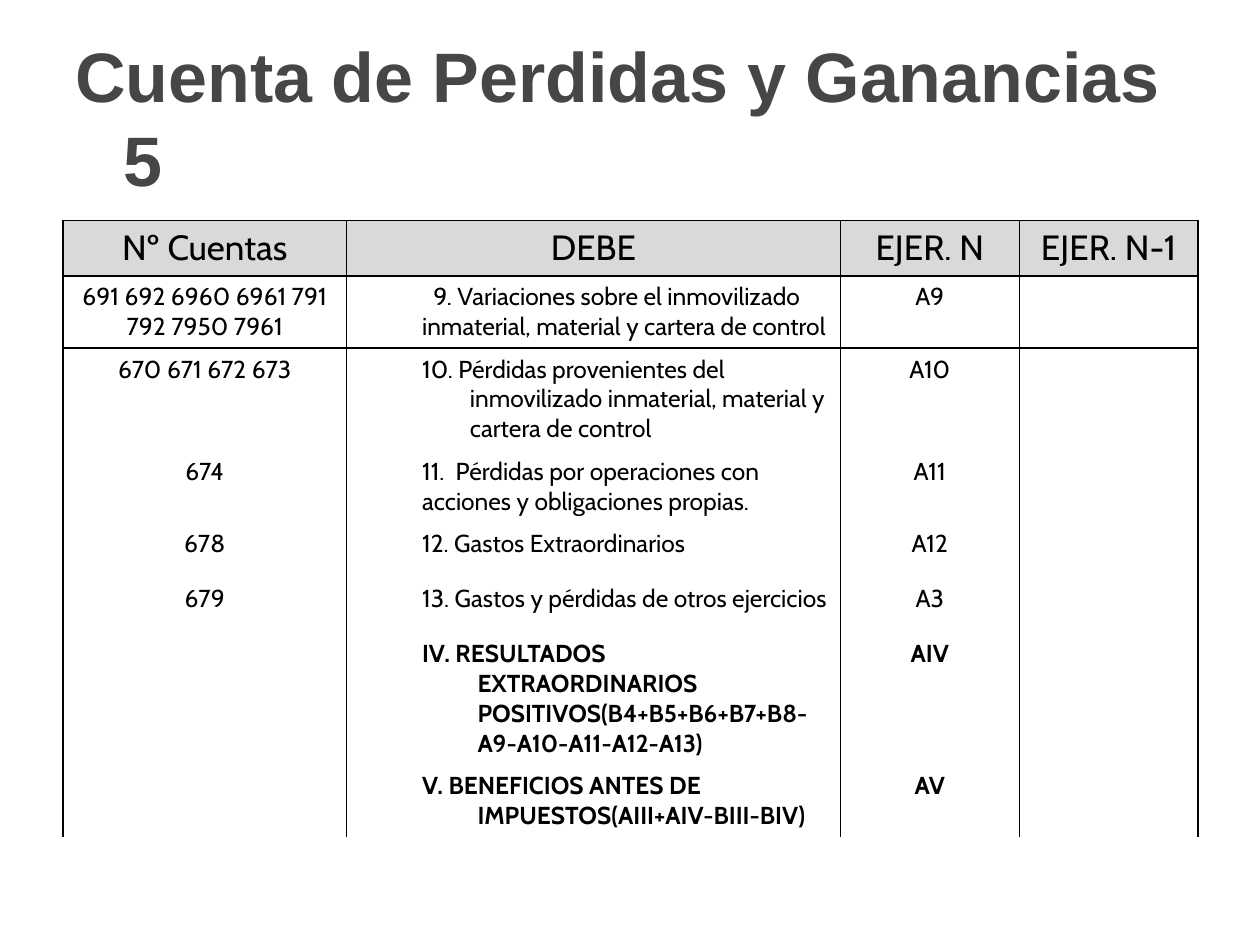
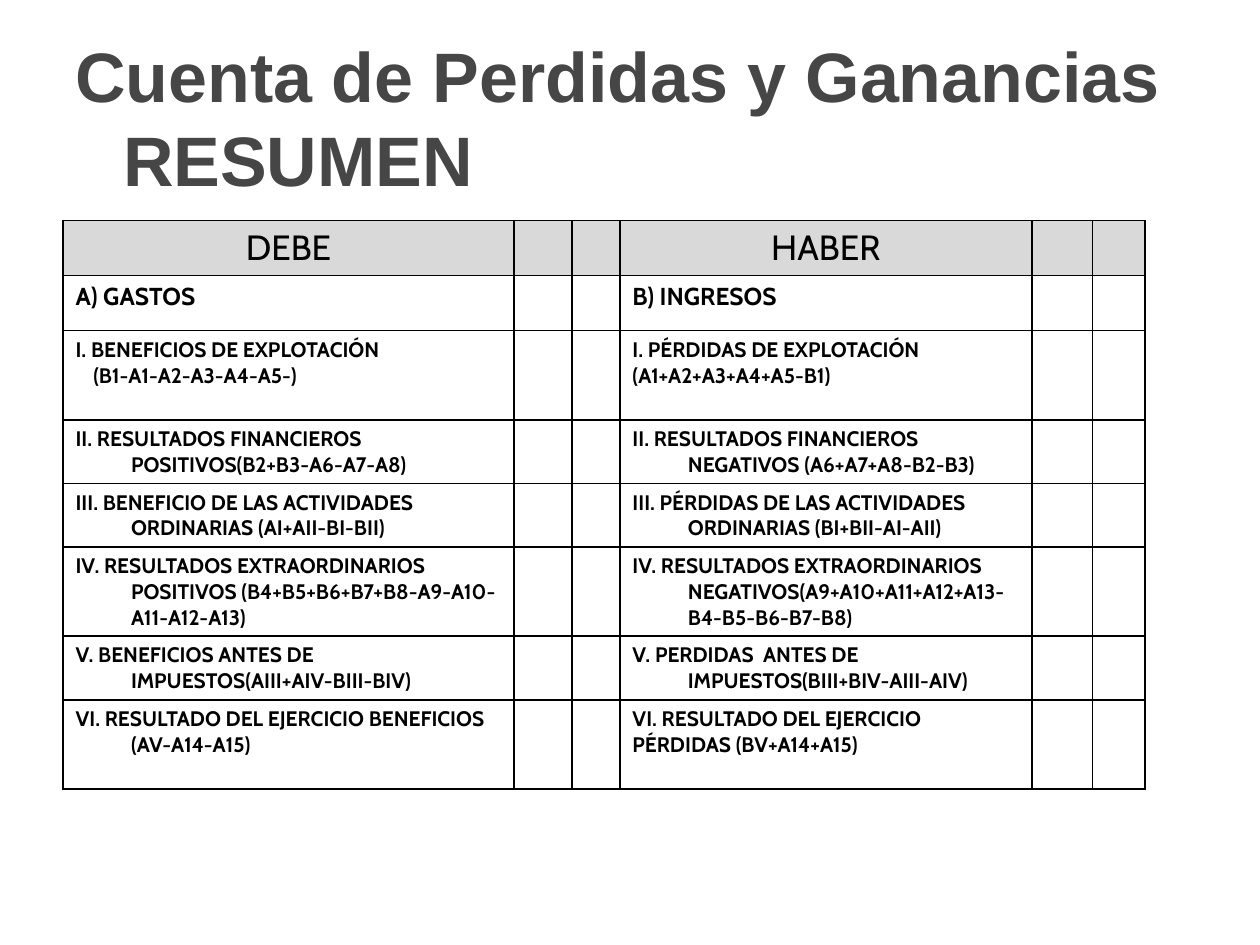
from pptx import Presentation
from pptx.dml.color import RGBColor
from pptx.enum.text import MSO_ANCHOR, PP_ALIGN
from pptx.oxml import parse_xml
from pptx.oxml.ns import nsdecls
from pptx.util import Emu, Inches, Pt

HEX = {"ink": "000000", "title": "464646", "head": "D9D9D9"}
HEAD = {"name": "Cabin", "size": Pt(20), "bold": False}
TITLE = {"name": "Arial", "size": Pt(40), "bold": True}
FLAT, STEP, NINE = (0, 0), (0.5, 0), (0.5, 0.09)
TEN, DEEP = (0.88, -0.38), (0.94, -0.44)
HANG, TAB = (0.44, -0.44), (0.14, 0)
LEAD = 1.215
PAD = 0.1
PLAIN = "{2D5ABB26-0587-4C30-8999-92F81FD0307C}"

DECK = [
    {
        "title": "Cuenta de Perdidas y Ganancias 5",
        "cols": [2.25, 3.92, 1.42, 1.42],
        "mid": (0, 2, 3),
        "sides": "LR",
        "head": ["Nº Cuentas", "DEBE", "EJER. N", "EJER. N-1"],
        "rows": [
            (14, False, 2 * 14, ["691 692 6960 6961 791 792 7950 7961",
                [("9. Variaciones sobre el inmovilizado inmaterial, material y cartera de control", NINE)], "A9", ""]),
            (14, False, 3 * 14, ["670 671 672 673",
                [("10. Pérdidas provenientes del inmovilizado inmaterial, material y cartera de control", TEN)], "A10", ""]),
            (14, False, 2 * 14, ["674",
                [("11.  Pérdidas por operaciones con acciones y obligaciones propias.", STEP)], "A11", ""]),
            (14, False, 20, ["678", [("12. Gastos Extraordinarios", STEP)], "A12", ""]),
            (14, False, 20, ["679", [("13. Gastos y pérdidas de otros ejercicios", STEP)], "A3", ""]),
            (14, True, 4 * 14, ["",
                [("IV. RESULTADOS EXTRAORDINARIOS POSITIVOS(B4+B5+B6+B7+B8-A9-A10-A11-A12-A13)", DEEP)], "AIV", ""]),
            (14, True, 2 * 14, ["",
                [("V. BENEFICIOS ANTES DE IMPUESTOS(AIII+AIV-BIII-BIV)", DEEP)], "AV", ""]),
        ],
    },
    {
        "title": "Cuenta de Perdidas y Ganancias RESUMEN",
        "cols": [3.58, 0.46, 0.38, 3.27, 0.48, 0.42],
        "mid": (),
        "sides": "LRTB",
        "head": ["DEBE", "", "", "HABER", "", ""],
        "rows": [
            (14, True, 20, ["A) GASTOS", "", "", "B) INGRESOS", "", ""]),
            (12, True, 3 * 12, [
                [("I. BENEFICIOS DE EXPLOTACIÓN", HANG), ("(B1-A1-A2-A3-A4-A5-)", TAB)], "", "",
                [("I. PÉRDIDAS DE EXPLOTACIÓN", HANG), ("(A1+A2+A3+A4+A5-B1)", HANG)], "", ""]),
            (12, True, 2 * 12, [
                [("II. RESULTADOS FINANCIEROS POSITIVOS(B2+B3-A6-A7-A8)", HANG)], "", "",
                [("II. RESULTADOS FINANCIEROS NEGATIVOS (A6+A7+A8-B2-B3)", HANG)], "", ""]),
            (12, True, 2 * 12, [
                [("III. BENEFICIO DE LAS ACTIVIDADES ORDINARIAS (AI+AII-BI-BII)", HANG)], "", "",
                [("III. PÉRDIDAS DE LAS ACTIVIDADES ORDINARIAS (BI+BII-AI-AII)", HANG)], "", ""]),
            (12, True, 3 * 12, [
                [("IV. RESULTADOS EXTRAORDINARIOS POSITIVOS (B4+B5+B6+B7+B8-A9-A10-A11-A12-A13)", HANG)], "", "",
                [("IV. RESULTADOS EXTRAORDINARIOS NEGATIVOS(A9+A10+A11+A12+A13-B4-B5-B6-B7-B8)", HANG)], "", ""]),
            (12, True, 2 * 12, [
                [("V. BENEFICIOS ANTES DE IMPUESTOS(AIII+AIV-BIII-BIV)", HANG)], "", "",
                [("V. PERDIDAS  ANTES DE IMPUESTOS(BIII+BIV-AIII-AIV)", HANG)], "", ""]),
            (12, True, 3 * 12, [
                [("VI. RESULTADO DEL EJERCICIO BENEFICIOS (AV-A14-A15)", HANG)], "", "",
                "VI. RESULTADO DEL EJERCICIO PÉRDIDAS (BV+A14+A15)", "", ""]),
        ],
    },
]


def write(frame, parts, style, tone, align=PP_ALIGN.LEFT):
    for i, (text, (left, first)) in enumerate(parts):
        para = frame.add_paragraph() if i else frame.paragraphs[0]
        para.alignment = align
        props = para._p.get_or_add_pPr()
        props.set("marL", str(Inches(left)))
        props.set("indent", str(Inches(first)))
        run = para.add_run()
        run.text = text
        for key, value in style.items():
            setattr(run.font, key, value)
        run.font.color.rgb = RGBColor.from_string(HEX[tone])


def edge(cell, sides):
    props = cell._tc.get_or_add_tcPr()
    for side in sides:
        props.append(parse_xml(
            f'<a:ln{side} {nsdecls("a")} w="{Pt(1)}"><a:solidFill>'
            f'<a:srgbClr val="{HEX["ink"]}"/></a:solidFill></a:ln{side}>'))


def add_title(slide, text, wide, high):
    box = slide.shapes.add_textbox(
        Emu(int(wide * 0.05)), Emu(int(high * 0.04)),
        Emu(int(wide * 0.9)), Inches(1.25))
    frame = box.text_frame
    frame.word_wrap = True
    frame.vertical_anchor = MSO_ANCHOR.MIDDLE
    write(frame, [(text, (0.38, -0.38))], TITLE, "title")
    frame.paragraphs[0].line_spacing = Pt(48)


def add_grid(slide, page, wide):
    rows = [(20, False, 20, page["head"])] + page["rows"]
    cols = page["cols"]
    highs = [PAD + row[2] * LEAD / 72 for row in rows]
    grid = slide.shapes.add_table(
        len(rows), len(cols), Emu(int(wide * 0.05)), Inches(1.75),
        Inches(sum(cols)), Inches(sum(highs))).table
    grid.first_row = grid.horz_banding = False
    grid._tbl.tblPr[0].text = PLAIN
    for col, size in zip(grid.columns, cols):
        col.width = Inches(size)
    for r, (size, bold, _, cells) in enumerate(rows):
        grid.rows[r].height = Inches(highs[r])
        style = {**HEAD, "size": Pt(size), "bold": bold}
        for c, item in enumerate(cells):
            cell = grid.cell(r, c)
            edge(cell, "LRTB" if r == 0 else "LRT" if r == 1 and page["sides"] == "LR" else page["sides"])
            if r == 0:
                cell.fill.solid()
                cell.fill.fore_color.rgb = RGBColor.from_string(HEX["head"])
            else:
                cell.fill.background()
            parts = [(item, FLAT)] if isinstance(item, str) else item
            mid = r == 0 or c in page["mid"]
            if item:
                write(cell.text_frame, parts, style, "ink",
                      PP_ALIGN.CENTER if mid else PP_ALIGN.LEFT)


def main():
    deck = Presentation()
    deck.slide_width, deck.slide_height = Inches(10), Inches(7.5)
    for page in DECK:
        slide = deck.slides.add_slide(deck.slide_layouts[6])
        add_grid(slide, page, deck.slide_width)
        add_title(slide, page["title"], deck.slide_width, deck.slide_height)
    deck.save("out.pptx")


if __name__ == "__main__":
    main()
